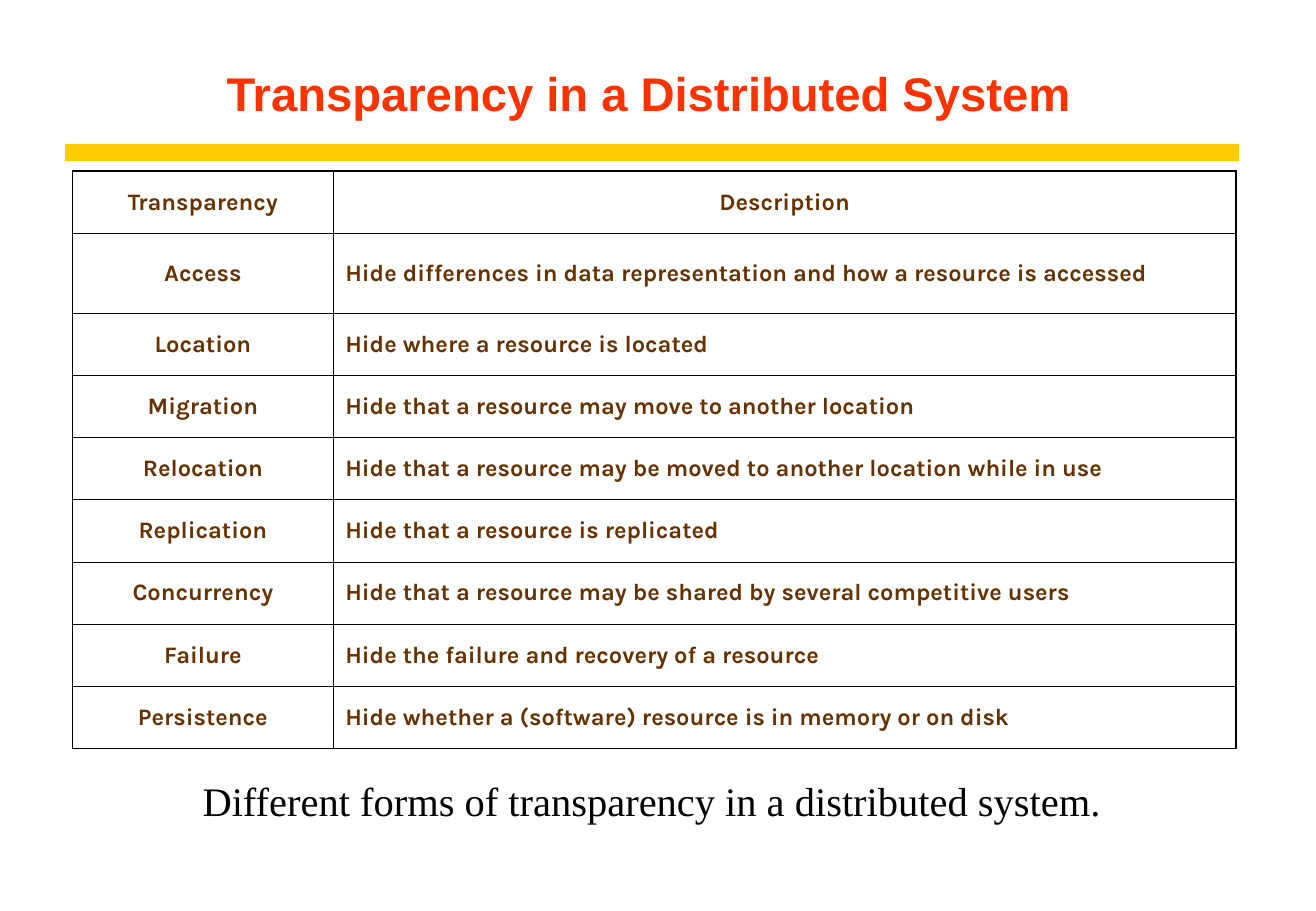
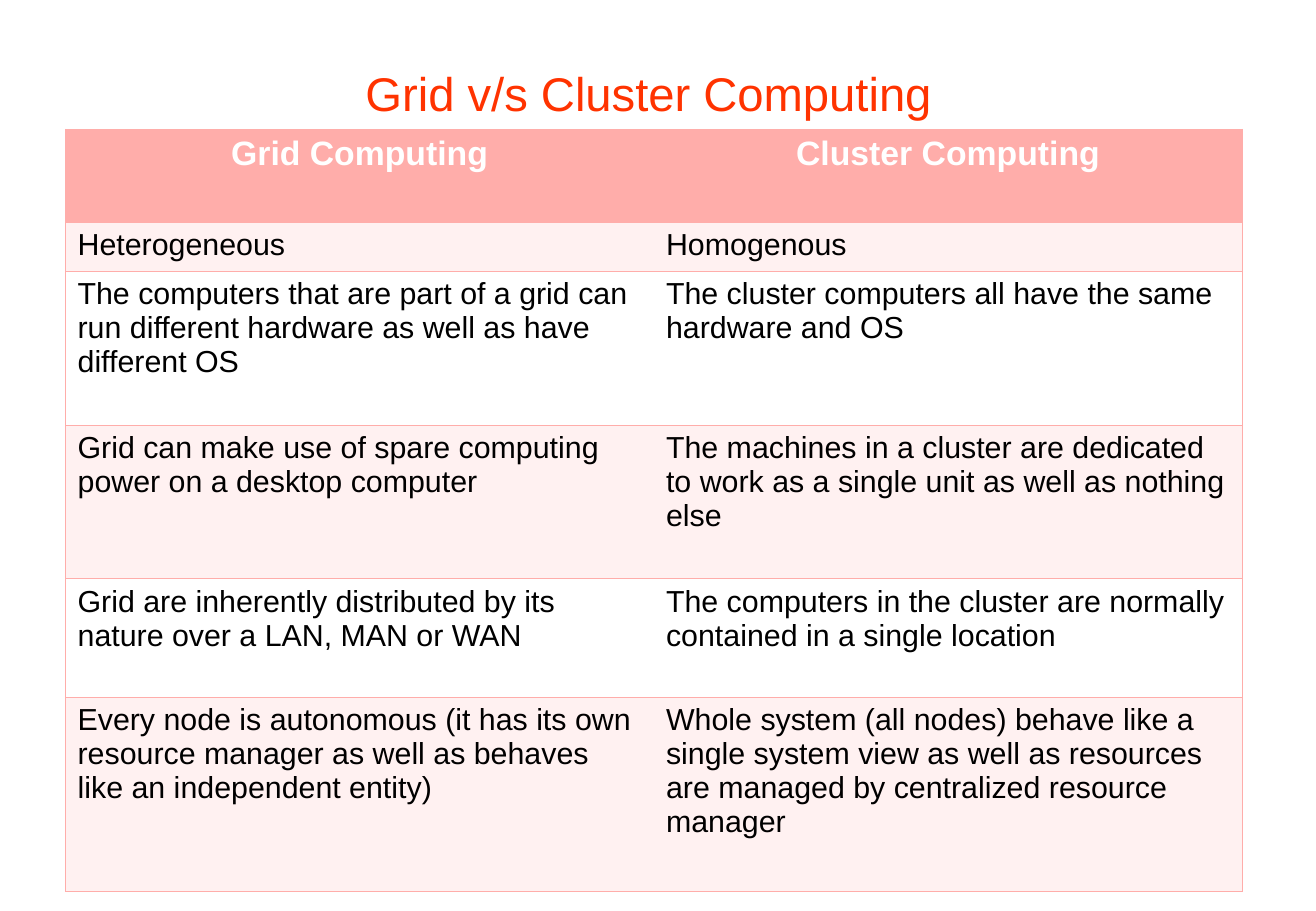
import lxml.etree
import pptx
import pptx.dml.color
import pptx.enum.shapes
import pptx.enum.text
import pptx.oxml.ns
import pptx.util

Cm = pptx.util.Cm
Pt = pptx.util.Pt
Align = pptx.enum.text.PP_ALIGN
Anchor = pptx.enum.text.MSO_ANCHOR

FORMS = [
    ("Transparency", "Description"),
    ("Access", "Hide differences in data representation and how a resource is accessed"),
    ("Location", "Hide where a resource is located"),
    ("Migration", "Hide that a resource may move to another location"),
    ("Relocation", "Hide that a resource may be moved to another location while in use"),
    ("Replication", "Hide that a resource is replicated"),
    ("Concurrency", "Hide that a resource may be shared by several competitive users"),
    ("Failure", "Hide the failure and recovery of a resource"),
    ("Persistence", "Hide whether a (software) resource is in memory or on disk"),
]

TRAITS = [
    ("Grid Computing", "Cluster Computing"),
    ("Heterogeneous", "Homogenous"),
    ("The computers that are part of a grid can run different hardware as well as have different OS",
     "The cluster computers all have the same hardware and OS"),
    ("Grid can make use of spare computing power on a desktop computer",
     "The machines in a cluster are dedicated to work as a single unit as well as nothing else"),
    ("Grid are inherently distributed by its nature over a LAN, MAN or WAN",
     "The computers in the cluster are normally contained in a single location"),
    ("Every node is autonomous (it has its own resource manager as well as behaves like an independent entity)",
     "Whole system (all nodes) behave like a single system view as well as resources are managed by "
     "centralized resource manager"),
]


def tint(code):
    return pptx.dml.color.RGBColor.from_string(code)


def add(node, tag, **attrs):
    return lxml.etree.SubElement(node, pptx.oxml.ns.qn(tag), **attrs)


class Deck:
    """Slides that share one title style and one gold rule."""

    red, gold, brown = "FF3300", "FFCC00", "663300"
    rose, blush = "FFADAA", "FFF1F1"
    black, white = "000000", "FFFFFF"

    def __init__(self):
        self.file = pptx.Presentation()
        self.file.slide_width = Cm(27.53)
        self.file.slide_height = Cm(19.05)
        self.slide = None

    def style(self, para, face, size, color, bold=False, align=Align.LEFT):
        para.alignment = align
        para.font.name = face
        para.font.size = Pt(size)
        para.font.bold = bold
        para.font.color.rgb = tint(color)

    def page(self, text, bold=False):
        self.slide = self.file.slides.add_slide(self.file.slide_layouts[5])
        self.rule()
        title = self.slide.shapes.title
        title.left, title.top = Cm(1.22), Cm(0.64)
        title.width, title.height = Cm(24.69), Cm(2.03)
        frame = title.text_frame
        frame.text = text
        frame.auto_size = pptx.enum.text.MSO_AUTO_SIZE.NONE
        frame.vertical_anchor = Anchor.BOTTOM
        para = frame.paragraphs[0]
        para.line_spacing = 0.9
        self.style(para, "Arial", 28, self.red, bold, Align.CENTER)

    def rule(self):
        kind = pptx.enum.shapes.MSO_CONNECTOR.STRAIGHT
        line = self.slide.shapes.add_connector(kind, Cm(1.37), Cm(3.18), Cm(25.91), Cm(3.18))
        line.line.color.rgb = tint(self.gold)
        line.line.width = Pt(10)
        add(line._element.spPr, "a:effectLst")

    def note(self, text, left, top, width, height):
        box = self.slide.shapes.add_textbox(Cm(left), Cm(top), Cm(width), Cm(height))
        box.text_frame.word_wrap = True
        box.text_frame.text = text
        self.style(box.text_frame.paragraphs[0], "Times New Roman", 24, self.black, align=Align.CENTER)

    def edge(self, cell, side, color, width):
        line = add(cell._tc.get_or_add_tcPr(), "a:ln" + side, w=str(Pt(width)))
        if width:
            add(add(line, "a:solidFill"), "a:srgbClr", val=color)
        else:
            add(line, "a:noFill")

    def table(self, rows, left, top, cols, tall, color, outer, across, down, look):
        grid = self.slide.shapes.add_table(
            len(rows), len(cols), Cm(left), Cm(top), Cm(sum(cols)), Cm(sum(tall))).table
        grid.first_row = grid.horz_banding = False
        for col, size in zip(grid.columns, cols):
            col.width = Cm(size)
        for row, size in zip(grid.rows, tall):
            row.height = Cm(size)
        for r, row in enumerate(rows):
            for c, text in enumerate(row):
                cell = grid.cell(r, c)
                cell.text = text
                self.edge(cell, "L", color, outer if c == 0 else down)
                self.edge(cell, "R", color, outer if c == len(cols) - 1 else down)
                self.edge(cell, "T", color, outer if r == 0 else across)
                self.edge(cell, "B", color, outer if r == len(rows) - 1 else across)
                look(cell, r, c)

    def plain(self, cell, r, c):
        cell.fill.background()
        cell.vertical_anchor = Anchor.MIDDLE
        align = Align.CENTER if r == 0 or c == 0 else Align.LEFT
        self.style(cell.text_frame.paragraphs[0], "Karla", 14, self.brown, True, align)

    def banded(self, cell, r, c):
        head = r == 0
        cell.fill.solid()
        cell.fill.fore_color.rgb = tint(self.rose if head else self.blush if r % 2 else self.white)
        para = cell.text_frame.paragraphs[0]
        if head:
            self.style(para, "Arial", 20, self.white, True, Align.CENTER)
        else:
            self.style(para, "Arial", 18, self.black)


def main():
    deck = Deck()

    deck.page("Transparency in a Distributed System", bold=True)
    deck.note("Different forms of transparency in a distributed system.", 0.91, 16.1, 25.45, 1.27)
    deck.table(FORMS, 1.52, 3.58, [5.45, 18.89], [1.3, 1.67] + [1.3] * 7,
               deck.black, 1.08, 0.45, 0.45, deck.plain)

    deck.page("Grid v/s Cluster Computing")
    deck.table(TRAITS, 1.37, 2.7, [12.31, 12.31], [1.95, 1.02, 3.22, 3.21, 2.48, 4.06],
               deck.rose, 0.45, 0.45, 0, deck.banded)

    deck.file.save("out.pptx")


if __name__ == "__main__":
    main()
